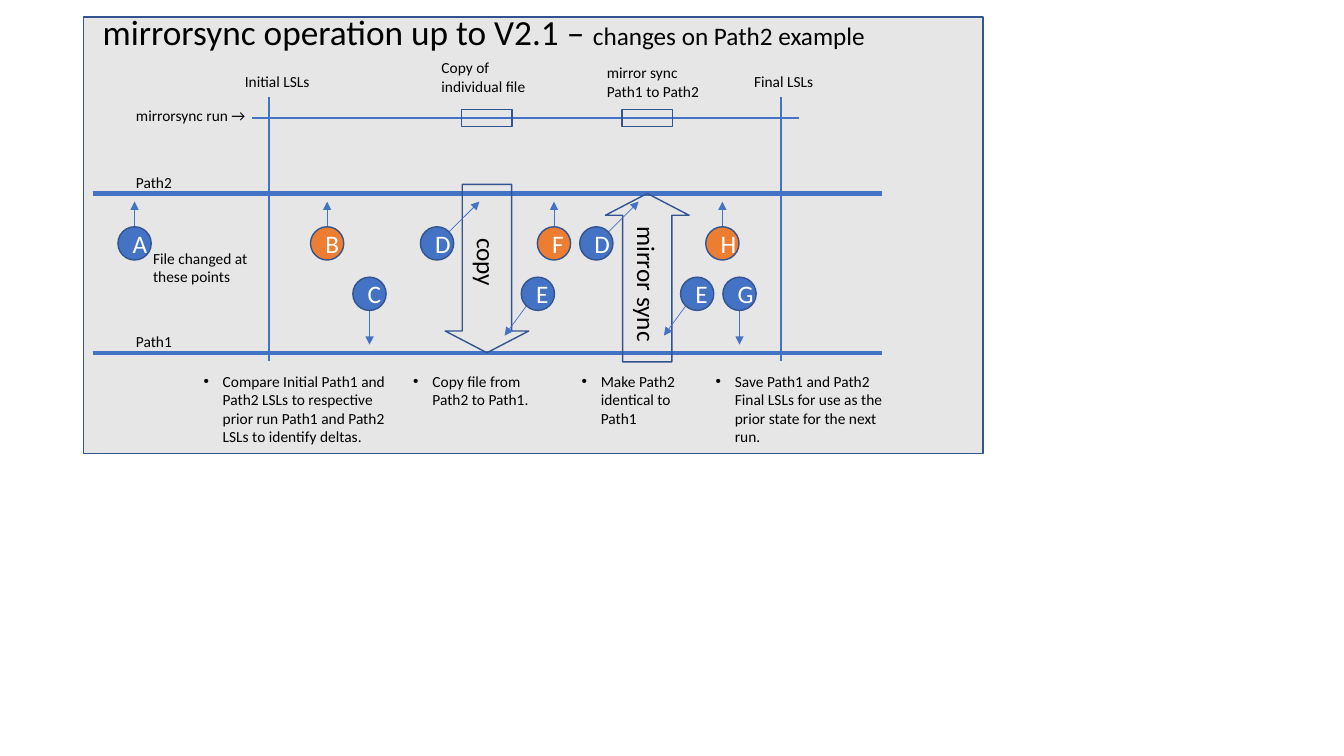
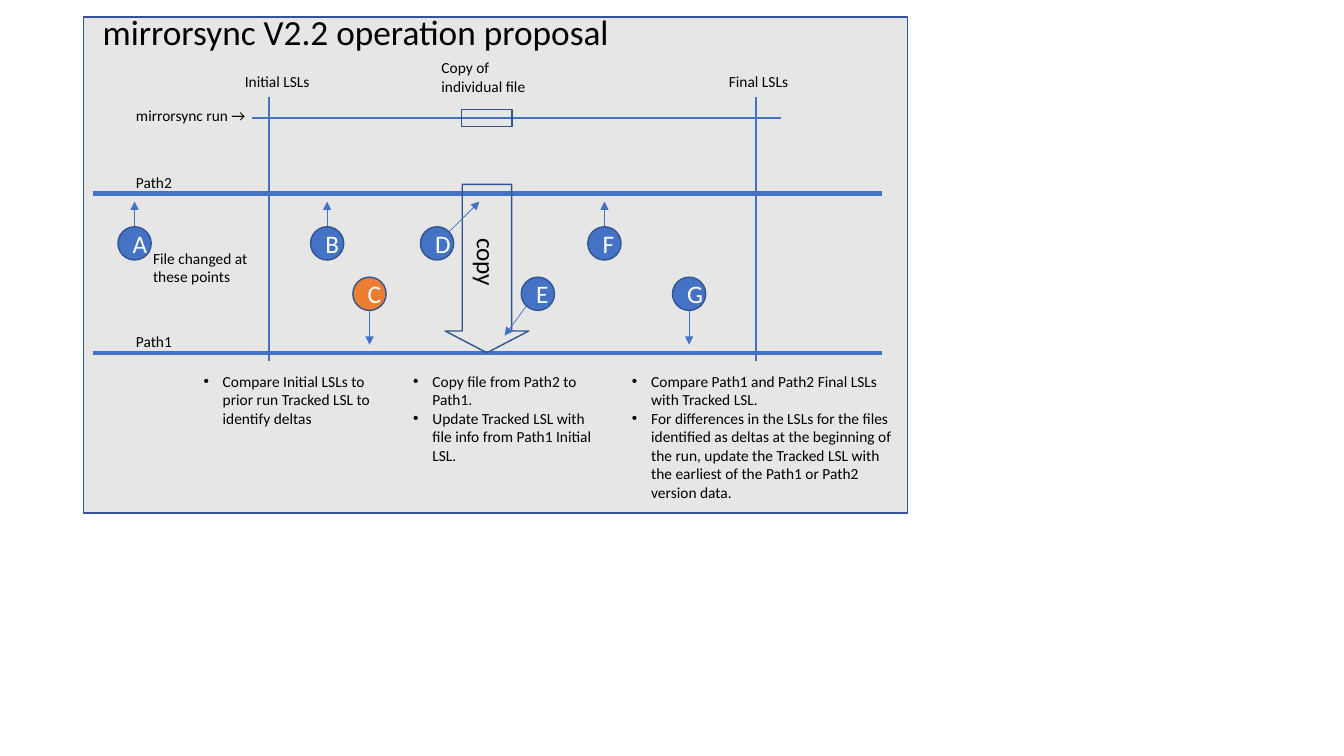
from dataclasses import dataclass
from typing import Optional

from pptx import Presentation
from pptx.dml.color import RGBColor
from pptx.enum.shapes import MSO_CONNECTOR, MSO_SHAPE
from pptx.enum.text import MSO_ANCHOR, MSO_AUTO_SIZE, PP_ALIGN
from pptx.oxml.ns import qn
from pptx.shapes.autoshape import Shape
from pptx.slide import Slide
from pptx.text.text import TextFrame
from pptx.util import Inches, Pt
from lxml.etree import SubElement

# Shared style
FONT = "Calibri"
BLUE, EDGE, ORANGE = "4472C4", "325491", "ED7D31"
GREY, BLACK, WHITE = "E7E6E6", "000000", "FFFFFF"
TITLE_PT, BODY_PT, LABEL_PT = 25.2, 18, 11

# Shared geometry
LEFT, TOP = 0.83, 0.17
RUN_Y, PATH2_Y, PATH1_Y = 1.17, 1.92, 3.5
PATH_X, PATH_END = 0.92, 8.75
INITIAL_X, RUN_X = 2.67, 2.5
CIRCLE = 0.33
NOTE_Y = 3.64
STEP_W, STEP_H = 0.5, 0.17
ARROW_W, ARROW_H = 0.83, 1.67


@dataclass
class Change:
    """A file change on a path; a slanted one happens during a step."""
    letter: str
    x: float
    on_path2: bool = True
    slanted: bool = False
    fill: str = BLUE


@dataclass
class Step:
    """A stage of the run: label, box on the run line and block arrow."""
    label: str
    label_x: float
    label_y: float
    x: float
    text: str
    up: bool = False


@dataclass
class Note:
    x: float
    width: float
    height: float
    points: list[str]


@dataclass
class Diagram:
    title: str
    width: float
    height: float
    final_x: float
    run_end: float
    changes: list[Change]
    steps: list[Step]
    notes: list[Note]
    subtitle: Optional[str] = None


def rgb(color: str) -> RGBColor:
    return RGBColor.from_string(color)


# Drawing functions
def add_run(tf: TextFrame, text: str, *, size: float = LABEL_PT, color: str = BLACK,
            align: Optional[PP_ALIGN] = None, bullet: bool = False,
            spacing: Optional[float] = None, new: bool = False) -> None:
    p = tf.add_paragraph() if new else tf.paragraphs[-1]
    p.alignment = align
    p.line_spacing = spacing
    if bullet:
        pPr = p._p.get_or_add_pPr()
        pPr.set("marL", str(Inches(0.19)))
        pPr.set("indent", str(Inches(-0.19)))
        SubElement(pPr, qn("a:buFont")).set("typeface", "Arial")
        SubElement(pPr, qn("a:buChar")).set("char", "•")
    r = p.add_run()
    r.text = text
    r.font.name, r.font.size = FONT, Pt(size)
    r.font.color.rgb = rgb(color)


def add_box(s: Slide, x: float, y: float, w: float, h: float, wrap: bool = True) -> TextFrame:
    tf = s.shapes.add_textbox(Inches(x), Inches(y), Inches(w), Inches(h)).text_frame
    tf.word_wrap = wrap
    tf.auto_size = MSO_AUTO_SIZE.SHAPE_TO_FIT_TEXT
    return tf


def add_label(s: Slide, text: str, x: float, y: float, w: float,
              h: float = 0.29, wrap: bool = False) -> None:
    add_run(add_box(s, x, y, w, h, wrap), text)


def add_figure(s: Slide, kind: MSO_SHAPE, x: float, y: float, w: float, h: float,
               fill: Optional[str] = None) -> Shape:
    sp = s.shapes.add_shape(kind, Inches(x), Inches(y), Inches(w), Inches(h))
    sp.shadow.inherit = False
    if fill:
        sp.fill.solid()
        sp.fill.fore_color.rgb = rgb(fill)
    else:
        sp.fill.background()
    sp.line.color.rgb, sp.line.width = rgb(EDGE), Pt(1)
    sp.text_frame.vertical_anchor = MSO_ANCHOR.MIDDLE
    return sp


def add_line(s: Slide, x1: float, y1: float, x2: float, y2: float,
             width: float, arrow: bool = False) -> None:
    line = s.shapes.add_connector(MSO_CONNECTOR.STRAIGHT, Inches(x1), Inches(y1),
                                  Inches(x2), Inches(y2))
    line.line.color.rgb, line.line.width = rgb(BLUE), Pt(width)
    if arrow:
        SubElement(line.line._get_or_add_ln(), qn("a:tailEnd")).set("type", "triangle")
    SubElement(line._element.spPr, qn("a:effectLst"))


def add_change(s: Slide, change: Change) -> None:
    y = 2.25 if change.on_path2 else 2.75
    cx = change.x + CIRCLE / 2
    if change.on_path2:
        ends = (cx + 0.12, 2.3, cx + 0.42, 2) if change.slanted else (cx, 2.42, cx, 2)
    else:
        ends = (cx - 0.11, 3.03, cx - 0.33, 3.33) if change.slanted else (cx, 2.92, cx, 3.42)
    add_line(s, *ends, 0.5, arrow=True)
    sp = add_figure(s, MSO_SHAPE.OVAL, change.x, y, CIRCLE, CIRCLE, change.fill)
    add_run(sp.text_frame, change.letter, size=BODY_PT, color=WHITE, align=PP_ALIGN.CENTER)


def add_step(s: Slide, step: Step) -> None:
    add_label(s, step.label, step.label_x, step.label_y, 1.13, 0.47, wrap=True)
    add_figure(s, MSO_SHAPE.RECTANGLE, step.x, RUN_Y - STEP_H / 2, STEP_W, STEP_H)
    y = PATH2_Y if step.up else PATH1_Y - ARROW_H
    sp = add_figure(s, MSO_SHAPE.DOWN_ARROW, step.x + (STEP_W - ARROW_W) / 2, y,
                    ARROW_W, ARROW_H)
    sp.adjustments[0], sp.adjustments[1] = 0.59, 0.26
    if step.up:
        sp._element.spPr.get_or_add_xfrm().set("flipV", "1")
    tf = sp.text_frame
    tf._txBody.bodyPr.set("vert", "vert270" if step.up else "vert")
    add_run(tf, step.text, size=BODY_PT, align=PP_ALIGN.CENTER)


def add_note(s: Slide, note: Note) -> None:
    tf = add_box(s, note.x, NOTE_Y, note.width, note.height)
    for i, point in enumerate(note.points):
        add_run(tf, point, bullet=True, new=i > 0)


def add_title(s: Slide, d: Diagram) -> None:
    tf = add_box(s, 0.92, 0.08, 11.5, 0.52)
    tf.auto_size = MSO_AUTO_SIZE.NONE
    tf.vertical_anchor = MSO_ANCHOR.MIDDLE
    add_run(tf, d.title, size=TITLE_PT, spacing=0.9)
    if d.subtitle:
        add_run(tf, d.subtitle, size=BODY_PT, spacing=0.9)


def add_diagram(prs: Presentation, d: Diagram) -> None:
    s = prs.slides.add_slide(prs.slide_layouts[6])
    add_figure(s, MSO_SHAPE.RECTANGLE, LEFT, TOP, d.width, d.height, GREY)
    # Run line and listing times
    add_line(s, RUN_X, RUN_Y, d.run_end, RUN_Y, 1)
    add_label(s, "mirrorsync run →", 1.25, 1, 1.31)
    for text, x, label_x, w in (("Initial LSLs", INITIAL_X, INITIAL_X - 0.34, 0.85),
                                ("Final LSLs", d.final_x, d.final_x - 0.37, 0.79)):
        add_line(s, x, 0.96, x, 3.58, 1.5)
        add_label(s, text, label_x, 0.67, w)
    # Paths
    for text, y in (("Path2", PATH2_Y), ("Path1", PATH1_Y)):
        add_line(s, PATH_X, y, PATH_END, y, 3)
        add_label(s, text, 1.25, y - 0.25, 0.56)
    add_label(s, "File changed at these points", 1.42, 2.42, 1.33, 0.47, wrap=True)
    # Parts that differ between the diagrams
    for step in d.steps:
        add_step(s, step)
    for change in d.changes:
        add_change(s, change)
    for note in d.notes:
        add_note(s, note)
    add_title(s, d)


# Content
COPY = Step("Copy of individual file", 4.28, 0.53, 4.58, "copy")
COPY_CHANGES = [Change("A", 1.17), Change("D", 4.17, slanted=True),
                Change("E", 5.17, on_path2=False, slanted=True)]

DIAGRAMS = [
    Diagram(
        "mirrorsync operation up to V2.1 – ", 8.92, 4.33, 7.75, 7.92,
        subtitle="changes on Path2 example",
        changes=COPY_CHANGES + [
            Change("B", 3.08, fill=ORANGE),
            Change("C", 3.5, on_path2=False),
            Change("F", 5.33, fill=ORANGE),
            Change("D", 5.75, slanted=True),
            Change("E", 6.75, on_path2=False, slanted=True),
            Change("H", 7, fill=ORANGE),
            Change("G", 7.17, on_path2=False)],
        steps=[COPY, Step("mirror sync Path1 to Path2", 5.92, 0.58, 6.17,
                          "mirror sync", up=True)],
        notes=[
            Note(1.92, 2.08, 0.84, ["Compare Initial Path1 and Path2 LSLs to respective prior "
                                    "run Path1 and Path2 LSLs to identify deltas."]),
            Note(4, 1.42, 0.47, ["Copy file from Path2 to Path1."]),
            Note(5.67, 1.42, 0.66, ["Make Path2 identical to Path1"]),
            Note(7, 2, 0.84, ["Save Path1 and Path2 Final LSLs for use as the prior state "
                              "for the next run."])]),
    Diagram(
        "mirrorsync V2.2 operation proposal", 8.17, 4.92, 7.5, 7.75,
        changes=COPY_CHANGES + [
            Change("B", 3.08),
            Change("C", 3.5, on_path2=False, fill=ORANGE),
            Change("F", 5.83),
            Change("G", 6.67, on_path2=False)],
        steps=[COPY],
        notes=[
            Note(1.92, 2.08, 0.66, ["Compare Initial LSLs to prior run Tracked LSL to "
                                    "identify deltas"]),
            Note(4, 2.08, 1.03, ["Copy file from Path2 to Path1.",
                                 "Update Tracked LSL with file info from Path1 Initial LSL."]),
            Note(6.17, 2.83, 1.4, ["Compare Path1 and Path2 Final LSLs with Tracked LSL.",
                                   "For differences in the LSLs for the files identified as "
                                   "deltas at the beginning of the run, update the Tracked LSL "
                                   "with the earliest of the Path1 or Path2 version data."])]),
]

prs = Presentation()
prs.slide_width, prs.slide_height = Inches(13.33), Inches(7.5)
for diagram in DIAGRAMS:
    add_diagram(prs, diagram)
prs.save("out.pptx")
